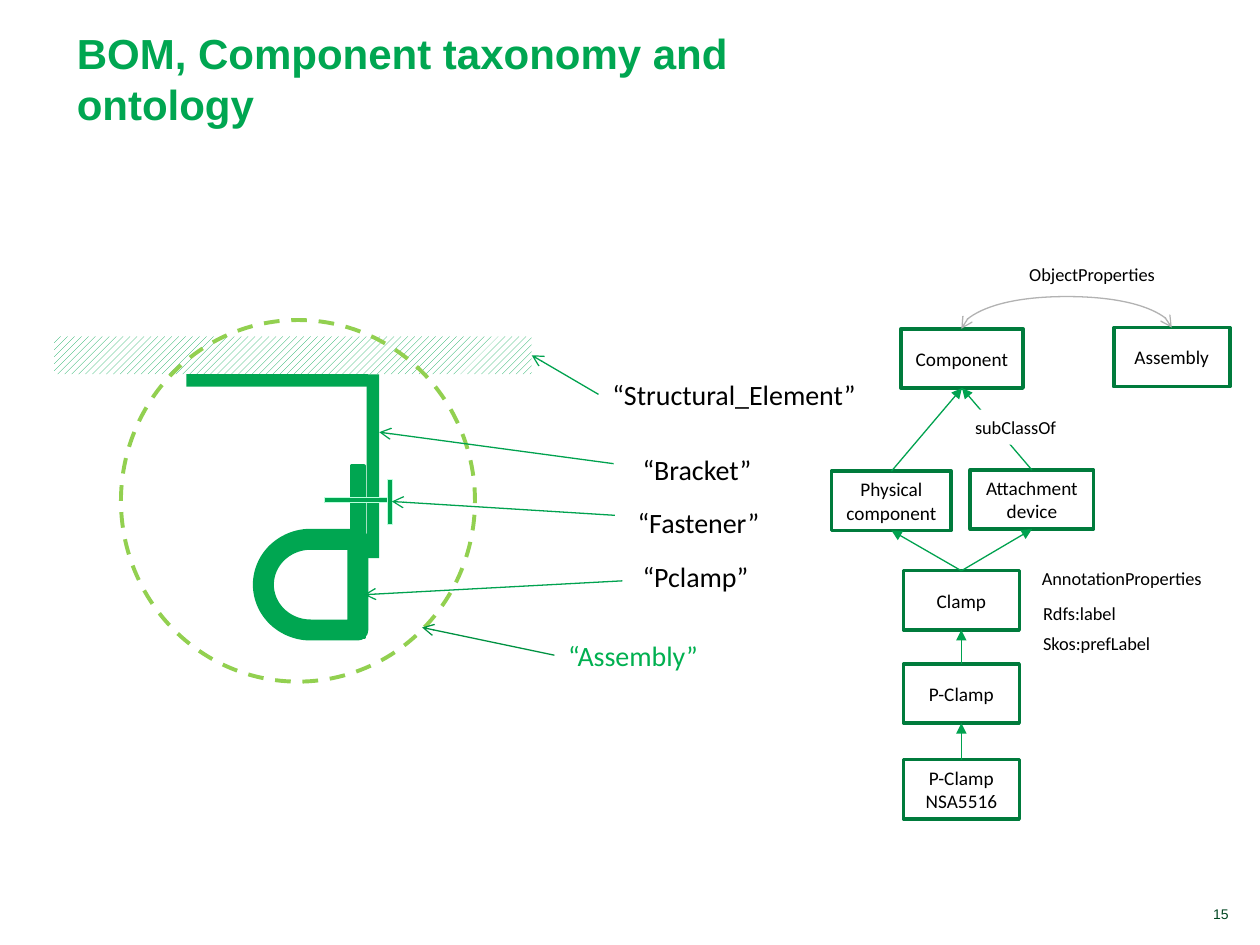
"""Build the slide on BOM, component taxonomy and ontology."""
from lxml import etree
from pptx import Presentation
from pptx import util as u
from pptx.dml.color import RGBColor
from pptx.enum import dml, shapes, text
from pptx.oxml.ns import qn

GREEN = RGBColor(0x00, 0xA6, 0x51)
LINK = RGBColor(0x00, 0xA2, 0x4F)
DARK = RGBColor(0x00, 0x92, 0x42)
BORDER = RGBColor(0x00, 0x7B, 0x3C)
LIME = RGBColor(0x92, 0xD0, 0x50)
LEAF = RGBColor(0x00, 0xB0, 0x50)
MINT = RGBColor(0xBA, 0xFF, 0xDC)
NUMBER = RGBColor(0x00, 0x46, 0x21)
GREY = RGBColor(0xB2, 0xB2, 0xB2)
BLACK = RGBColor(0, 0, 0)
WHITE = RGBColor(255, 255, 255)

MSO = shapes.MSO_SHAPE
TITLE = "BOM, Component taxonomy and ontology"
PARTS = [
    ((1.48, 2.97, 1.44, 0.1), MSO.RECTANGLE, 0, GREEN, None, 0),
    ((2.23, 3.65, 1.46, 0.1), MSO.RECTANGLE, 270, GREEN, None, 0),
    ((2.16, 4.33, 1.36, 0.1), MSO.RECTANGLE, 270, GREEN, GREEN, 2),
    ((2.09, 4.28, 0.75, 0.72), MSO.FLOWCHART_DELAY, 180, None, GREEN, 12),
    ((2.57, 3.95, 0.52, 0.04), MSO.FLOWCHART_PROCESS, 0, GREEN, MINT, 0.25),
    ((2.91, 3.96, 0.36, 0.04), MSO.FLOWCHART_PROCESS, 270, GREEN, MINT, 0.25),
]
CALLOUTS = [
    ("“Structural_Element”", (4.75, 2.94, 2.19, 0.38), BLACK, (4.75, 3.13), (4.22, 2.82), LINK),
    ("“Bracket”", (4.99, 3.53, 1.11, 0.38), BLACK, (4.87, 3.68), (3.01, 3.43), LINK),
    ("“Fastener”", (4.95, 3.95, 1.21, 0.38), BLACK, (4.88, 4.09), (3.11, 3.98), LINK),
    ("“Pclamp”", (4.99, 4.38, 1.08, 0.38), BLACK, (4.94, 4.61), (2.89, 4.72), LINK),
    ("“Assembly”", (4.4, 5.01, 1.27, 0.38), LEAF, (4.4, 5.2), (3.35, 4.98), DARK),
]
BOX_HEIGHT = 0.47
CLASSES = [
    ("Component", 7.15, 2.61, 0.97),
    ("Assembly", 8.84, 2.6, 0.92),
    ("Physical component", 6.6, 3.74, 0.95),
    ("Attachment device", 7.7, 3.73, 0.98),
    ("Clamp", 7.17, 4.53, 0.92),
    ("P-Clamp", 7.17, 5.27, 0.92),
    ("P-Clamp NSA5516", 7.17, 6.03, 0.92),
]
SUBCLASS_OF = [
    ("Physical component", "Component"),
    ("Attachment device", "Component"),
    ("Clamp", "Physical component"),
    ("Clamp", "Attachment device"),
    ("P-Clamp", "Clamp"),
    ("P-Clamp NSA5516", "P-Clamp"),
]
LABELS = [
    ("ObjectProperties", 8.07, 2.04, 1.22),
    ("subClassOf", 7.64, 3.25, 0.86),
    ("Rdfs:label", 8.18, 4.73, 0.79),
    ("Skos:prefLabel", 8.18, 4.97, 1.07),
    ("AnnotationProperties", 8.17, 4.45, 1.49),
]


def inches(*values):
    return [u.Inches(v) for v in values]


def put_text(sp, words, size=16, font="Calibri", color=BLACK, bold=False, wrap=False,
             align=text.PP_ALIGN.LEFT, anchor=text.MSO_ANCHOR.TOP, inset=(0.11, 0.06)):
    tf = sp.text_frame
    tf.word_wrap = wrap
    tf.vertical_anchor = anchor
    tf.margin_left = tf.margin_right = u.Inches(inset[0])
    tf.margin_top = tf.margin_bottom = u.Inches(inset[1])
    p = tf.paragraphs[0]
    p.alignment = align
    r = p.add_run()
    r.text = words
    r.font.size, r.font.name, r.font.bold = u.Pt(size), font, bold
    r.font.color.rgb = color


def add_part(parent, place, kind, fill=None, line=None, width=0, rotation=0):
    sp = parent.add_shape(kind, *inches(*place))
    sp.shadow.inherit = False
    sp.rotation = rotation
    if fill is None:
        sp.fill.background()
    else:
        sp.fill.solid()
        sp.fill.fore_color.rgb = fill
    if line is None:
        sp.line.fill.background()
    else:
        sp.line.color.rgb = line
        sp.line.width = u.Pt(width)
    return sp


def add_arrow(parent, start, end, color, ends, kind=shapes.MSO_CONNECTOR.STRAIGHT):
    cxn = parent.add_connector(kind, *inches(*start, *end))
    cxn.line.color.rgb = color
    cxn.line.width = u.Pt(0.75)
    ln = cxn.line._get_or_add_ln()
    for tag, style in ends.items():
        etree.SubElement(ln, qn(f"a:{tag}"), type=style)
    etree.SubElement(cxn._element.spPr, qn("a:effectLst"))
    return cxn


def draw_assembly(parent):
    wall = add_part(parent, (0.43, 2.67, 3.79, 0.3), MSO.RECTANGLE)
    wall.fill.patterned()
    wall.fill.pattern = dml.MSO_PATTERN.WIDE_UPWARD_DIAGONAL
    wall.fill.fore_color.rgb, wall.fill.back_color.rgb = GREEN, WHITE
    for place, kind, rotation, fill, line, width in PARTS:
        add_part(parent, place, kind, fill, line, width, rotation)
    ring = add_part(parent, (0.96, 2.54, 2.81, 2.87), MSO.OVAL, line=LIME, width=2.25)
    ring.line.dash_style = dml.MSO_LINE.DASH
    for words, place, color, start, end, line in CALLOUTS:
        put_text(parent.add_textbox(*inches(*place)), words, color=color)
        add_arrow(parent, start, end, line, {"tailEnd": "arrow"})


def draw_ontology(parent):
    boxes = {}
    for name, left, top, width in CLASSES:
        boxes[name] = add_part(parent, (left, top, width, BOX_HEIGHT), MSO.RECTANGLE,
                               line=BORDER, width=2)
        put_text(boxes[name], name, size=11, wrap=True, align=text.PP_ALIGN.CENTER,
                 anchor=text.MSO_ANCHOR.MIDDLE)
    for child, base in SUBCLASS_OF:
        cxn = add_arrow(parent, (0, 0), (1, 1), LINK, {"tailEnd": "triangle"})
        cxn.begin_connect(boxes[child], 0)
        cxn.end_connect(boxes[base], 2)
    arc = add_arrow(parent, (8.47, 3.44), (8.46, 1.77), GREY,
                    {"headEnd": "arrow", "tailEnd": "arrow"}, shapes.MSO_CONNECTOR.CURVE)
    arc._element.spPr.find(qn("a:xfrm")).set("rot", "5400000")
    guides = arc._element.spPr.find(qn("a:prstGeom")).find(qn("a:avLst"))
    etree.SubElement(guides, qn("a:gd"), name="adj1", fmla="val 2600000")
    for words, left, top, width in LABELS:
        sp = parent.add_textbox(*inches(left, top, width, 0.28))
        sp.fill.solid()
        sp.fill.fore_color.rgb = WHITE
        put_text(sp, words, size=10.5, inset=(0.1, 0.05))


def main():
    prs = Presentation()
    prs.slide_width, prs.slide_height = inches(10, 7.5)
    s = prs.slides.add_slide(prs.slide_layouts[5])
    title = s.shapes.title
    title.left, title.top, title.width, title.height = inches(0.51, 0.16, 6.81, 0.91)
    put_text(title, TITLE, size=24, font="Arial", color=GREEN, bold=True, wrap=True,
             anchor=text.MSO_ANCHOR.BOTTOM, inset=(0.1, 0.05))
    draw_assembly(s.shapes.add_group_shape().shapes)
    draw_ontology(s.shapes.add_group_shape().shapes)
    put_text(s.shapes.add_textbox(*inches(8.54, 7.14, 1.31, 0.23)), "15", size=8,
             font="Arial", color=NUMBER, wrap=True, align=text.PP_ALIGN.RIGHT,
             anchor=text.MSO_ANCHOR.BOTTOM, inset=(0.1, 0.05))
    prs.save("out.pptx")


if __name__ == "__main__":
    main()
